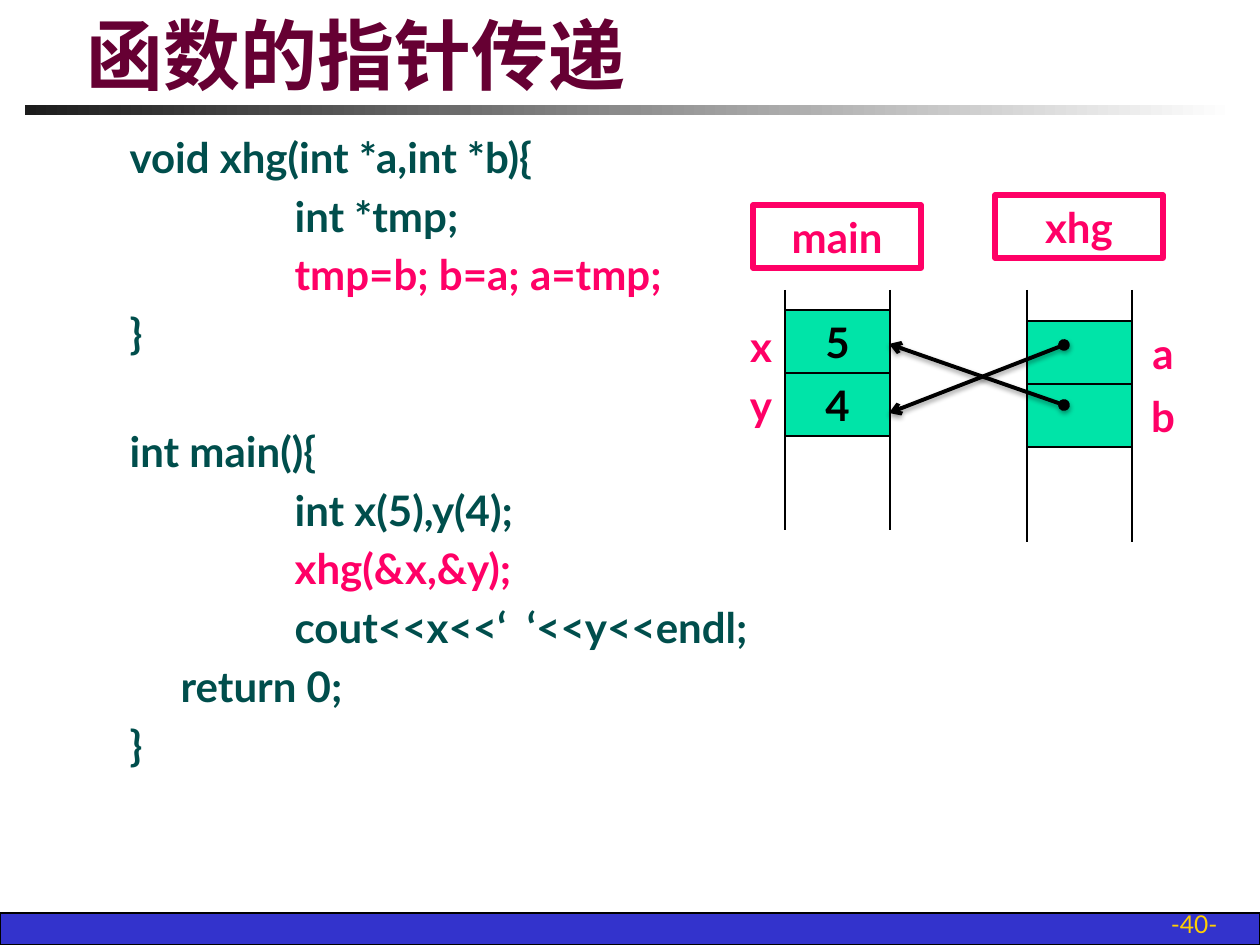
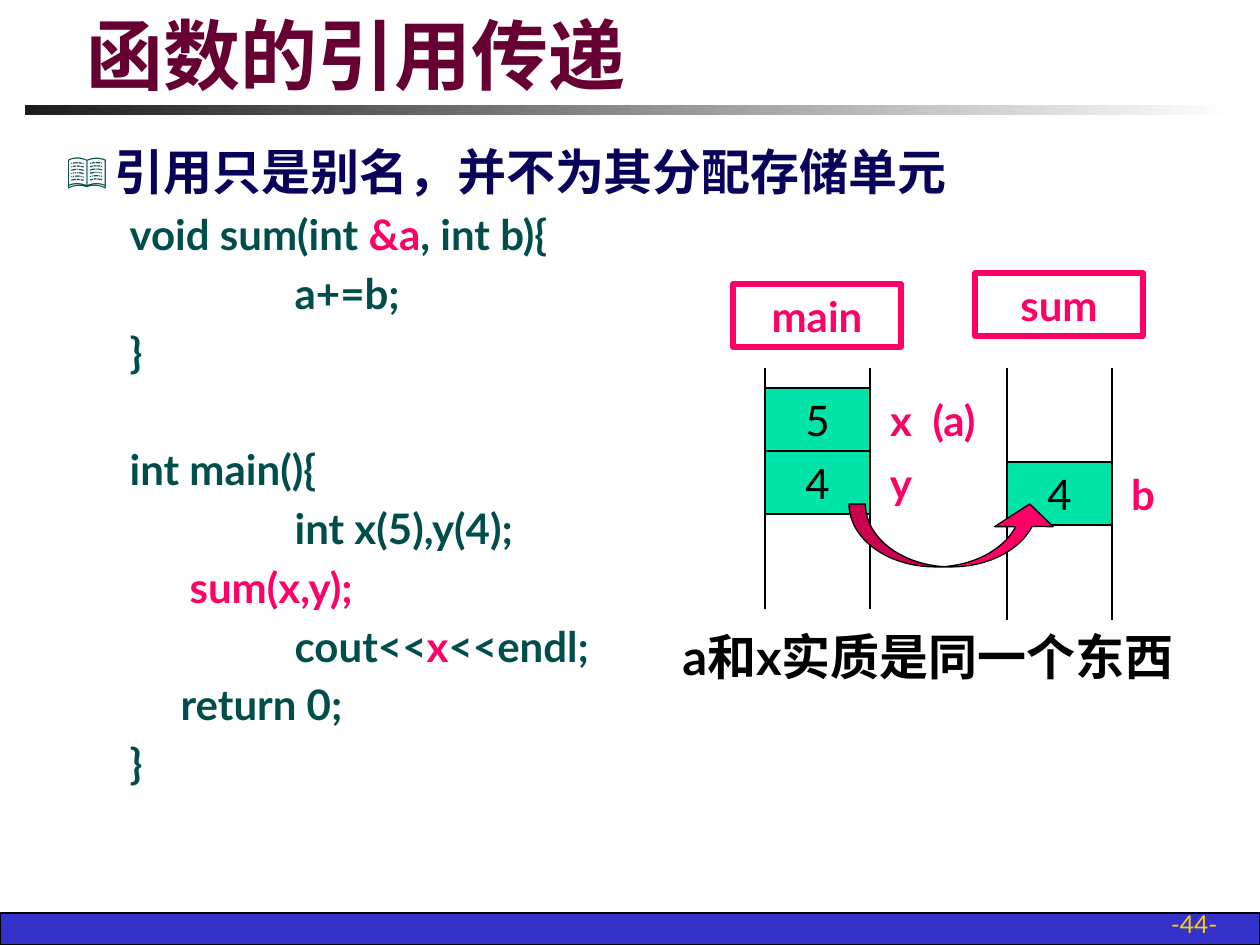
from dataclasses import dataclass

from lxml.etree import SubElement
from pptx import Presentation
from pptx.dml.color import RGBColor
from pptx.enum.shapes import MSO_CONNECTOR, MSO_SHAPE
from pptx.enum.text import MSO_ANCHOR, MSO_AUTO_SIZE, PP_ALIGN
from pptx.oxml.ns import qn
from pptx.util import Pt

EMU_PER_PX = 914400 / 126
PAGE_WIDTH, PAGE_HEIGHT = 1260, 945

BLACK = RGBColor(0x00, 0x00, 0x00)
WHITE = RGBColor(0xFF, 0xFF, 0xFF)
CHARCOAL = RGBColor(0x1C, 0x1C, 0x1C)
BLUE = RGBColor(0x33, 0x33, 0xCC)
GOLD = RGBColor(0xFF, 0xCF, 0x01)
MAROON = RGBColor(0x66, 0x00, 0x33)
TEAL = RGBColor(0x00, 0x4E, 0x4C)
NAVY = RGBColor(0x08, 0x02, 0x5A)
PINK = RGBColor(0xFF, 0x00, 0x66)
GREEN = RGBColor(0x00, 0xE4, 0xA8)

TITLE_FONT = "Comic Neue"
BODY_FONT = "Lato"
CODE_SIZE = 24
HEADING_SIZE = 28
CODE_LINE_POINTS = 33.6

MARGIN_CODE, MARGIN_RETURN, MARGIN_CALL, MARGIN_DEEP = 63, 114, 123, 228
HEADING_INDENT = 48
CELL_WIDTH, CELL_HEIGHT = 105, 63
NAME_WIDTH, NAME_INSET = 168, 32
TAG_WIDTH = 84


@dataclass(frozen=True)
class Span:
    text: str
    color: RGBColor = TEAL


@dataclass(frozen=True)
class CodeLine:
    spans: tuple[Span, ...]
    margin: int = MARGIN_CODE
    after_gap: bool = False


@dataclass(frozen=True)
class StackFrame:
    name: str
    left: int
    name_top: int
    rail_top: int
    rail_bottom: int
    cells_top: int
    values: tuple[str, ...]
    bold: bool = False


@dataclass(frozen=True)
class Tag:
    text: str
    left: int
    top: int


@dataclass(frozen=True)
class Pointer:
    start: tuple[int, int]
    end: tuple[int, int]


def px(length: int) -> int:
    return round(length * EMU_PER_PX)


def place(shape, left: int, top: int, width: int, height: int) -> None:
    shape.left, shape.top = px(left), px(top)
    shape.width, shape.height = px(width), px(height)


def add_span(para, text: str, size: int, color: RGBColor, bold: bool = True, font: str = BODY_FONT) -> None:
    run = para.add_run()
    run.text = text
    run.font.name = font
    run.font.size = Pt(size)
    run.font.bold = bold
    run.font.color.rgb = color


def add_box(page, kind, left: int, top: int, width: int, height: int,
            fill: RGBColor | None, line: RGBColor | None = BLACK, weight: float = 0.75):
    box = page.shapes.add_shape(kind, px(left), px(top), px(width), px(height))
    box.shadow.inherit = False
    if fill is None:
        box.fill.background()
    else:
        box.fill.solid()
        box.fill.fore_color.rgb = fill
    if line is None:
        box.line.fill.background()
    else:
        box.line.color.rgb = line
        box.line.width = Pt(weight)
    return box


def write_centered(box, text: str, color: RGBColor, bold: bool = True) -> None:
    frame = box.text_frame
    frame.word_wrap = False
    frame.vertical_anchor = MSO_ANCHOR.MIDDLE
    para = frame.paragraphs[0]
    para.alignment = PP_ALIGN.CENTER
    add_span(para, text, CODE_SIZE, color, bold)


def add_line(page, start: tuple[int, int], end: tuple[int, int], weight: float = 0.75):
    line = page.shapes.add_connector(MSO_CONNECTOR.STRAIGHT, *map(px, start + end))
    line.line.color.rgb = BLACK
    line.line.width = Pt(weight)
    effects = SubElement(line._element.spPr, qn("a:effectLst"))
    return line, effects


def add_pointer(page, pointer: Pointer) -> None:
    line, effects = add_line(page, pointer.start, pointer.end, 2.25)
    outline = line.line._get_or_add_ln()
    SubElement(outline, qn("a:headEnd"), type="oval")
    SubElement(outline, qn("a:tailEnd"), type="arrow")
    shadow = SubElement(effects, qn("a:outerShdw"), blurRad=str(Pt(3.1)), dist=str(Pt(1.6)),
                        dir="5400000", rotWithShape="0")
    color = SubElement(shadow, qn("a:srgbClr"), val=str(BLACK))
    SubElement(color, qn("a:alpha"), val="38000")


def add_stack_frame(page, frame: StackFrame) -> None:
    for x in (frame.left, frame.left + CELL_WIDTH):
        add_line(page, (x, frame.rail_top), (x, frame.rail_bottom))
    name_box = add_box(page, MSO_SHAPE.RECTANGLE, frame.left - NAME_INSET, frame.name_top,
                       NAME_WIDTH, CELL_HEIGHT, None, PINK, 3)
    write_centered(name_box, frame.name, PINK)
    for row, value in enumerate(frame.values):
        cell = add_box(page, MSO_SHAPE.RECTANGLE, frame.left, frame.cells_top + row * CELL_HEIGHT,
                       CELL_WIDTH, CELL_HEIGHT, GREEN)
        if value:
            write_centered(cell, value, BLACK, frame.bold)


def add_tag(page, tag: Tag) -> None:
    box = page.shapes.add_textbox(px(tag.left), px(tag.top), px(TAG_WIDTH), px(CELL_HEIGHT))
    write_centered(box, tag.text, PINK)


def add_copy_arrow(page) -> None:
    arrow = add_box(page, MSO_SHAPE.CURVED_DOWN_ARROW, 849, 504, 210, 63, PINK)
    for index, value in enumerate((0.26, 0.93, 0.36)):
        arrow.adjustments[index] = value
    arrow._element.spPr.find(qn("a:xfrm")).set("flipV", "1")


def add_caption(page, text: str) -> None:
    box = page.shapes.add_textbox(px(670), px(620), px(527), px(72))
    box.text_frame.word_wrap = True
    add_span(box.text_frame.paragraphs[0], text, HEADING_SIZE, BLACK)


def add_page(deck, title: str, number: int):
    page = deck.slides.add_slide(deck.slide_layouts[1])
    add_box(page, MSO_SHAPE.RECTANGLE, 0, 913, PAGE_WIDTH, 32, BLUE)
    rule = add_box(page, MSO_SHAPE.RECTANGLE, 25, 105, 1211, 10, WHITE, None)
    rule.fill.gradient()
    rule.fill.gradient_angle = 0
    for stop, position, color in zip(rule.fill.gradient_stops, (0, 1), (CHARCOAL, WHITE)):
        stop.position = position
        stop.color.rgb = color

    number_box = page.shapes.add_textbox(px(968), px(903), px(262), px(42))
    number_box.text_frame.word_wrap = True
    number_box.text_frame.vertical_anchor = MSO_ANCHOR.BOTTOM
    para = number_box.text_frame.paragraphs[0]
    para.alignment = PP_ALIGN.RIGHT
    add_span(para, f"-{number}-", 14, GOLD, bold=False)

    place(page.shapes.title, 74, 16, 1099, 90)
    frame = page.shapes.title.text_frame
    frame.auto_size = MSO_AUTO_SIZE.NONE
    frame.vertical_anchor = MSO_ANCHOR.BOTTOM
    frame.paragraphs[0].alignment = PP_ALIGN.LEFT
    add_span(frame.paragraphs[0], title, 44, MAROON, font=TITLE_FONT)
    return page


def indent_para(para, margin: int, indent: int = 0):
    properties = para._p.get_or_add_pPr()
    properties.set("marL", str(px(margin)))
    properties.set("indent", str(px(indent)))
    return properties


def fill_body(page, top: int, lines: tuple[CodeLine, ...], heading: str = "") -> None:
    body = page.placeholders[1]
    place(body, 54, top, 1152, 714)
    frame = body.text_frame
    frame.auto_size = MSO_AUTO_SIZE.NONE
    para = frame.paragraphs[0]
    if heading:
        properties = indent_para(para, HEADING_INDENT, -HEADING_INDENT)
        bullet_color = SubElement(properties, qn("a:buClr"))
        SubElement(bullet_color, qn("a:srgbClr"), val=str(TEAL))
        SubElement(properties, qn("a:buSzPct"), val="80000")
        SubElement(properties, qn("a:buChar"), char="📖")
        para.space_before = Pt(0)
        add_span(para, heading, HEADING_SIZE, NAVY)
    for index, line in enumerate(lines):
        first = index == 0 and not heading
        if not first:
            para = frame.add_paragraph()
        para.level = 1
        SubElement(indent_para(para, line.margin), qn("a:buNone"))
        gap = CODE_LINE_POINTS if line.after_gap else 0
        para.space_before = Pt(0 if first else 0.2 * CODE_SIZE + gap)
        for span in line.spans:
            add_span(para, span.text, CODE_SIZE, span.color)


def code(text: str, margin: int = MARGIN_CODE, color: RGBColor = TEAL, after_gap: bool = False) -> CodeLine:
    return CodeLine((Span(text, color),), margin, after_gap)


MAIN_START = (code("int main(){", after_gap=True), code("int x(5),y(4);", MARGIN_DEEP))
MAIN_END = (code("return 0;", MARGIN_RETURN), code("}"))

POINTER_CODE = (
    code("void xhg(int *a,int *b){"),
    code("int *tmp;", MARGIN_DEEP),
    code("tmp=b; b=a; a=tmp;", MARGIN_DEEP, PINK),
    code("}"),
    *MAIN_START,
    code("xhg(&x,&y);", MARGIN_DEEP, PINK),
    code("cout<<x<<‘  ‘<<y<<endl;", MARGIN_DEEP),
    *MAIN_END,
)
REFERENCE_CODE = (
    CodeLine((Span("void sum(int "), Span("&a", PINK), Span(", int b){"))),
    code("a+=b;", MARGIN_DEEP),
    code("}"),
    *MAIN_START,
    code("sum(x,y);", MARGIN_CALL, PINK),
    CodeLine((Span("cout<<"), Span("x", PINK), Span("<<endl;")), MARGIN_DEEP),
    *MAIN_END,
)

POINTER_FRAMES = (
    StackFrame("main", 785, 205, 290, 530, 310, ("5", "4"), bold=True),
    StackFrame("xhg", 1027, 195, 290, 542, 321, ("", "")),
)
REFERENCE_FRAMES = (
    StackFrame("main", 765, 284, 368, 609, 388, ("5", "4")),
    StackFrame("sum", 1007, 273, 368, 620, 462, ("4",)),
)
POINTER_TAGS = (Tag("x", 719, 314), Tag("y", 719, 373), Tag("a", 1121, 321), Tag("b", 1121, 384))
REFERENCE_TAGS = (Tag("x", 859, 388), Tag("y", 859, 451), Tag("(a)", 912, 388), Tag("b", 1101, 462))
POINTERS = (Pointer((1064, 345), (889, 413)), Pointer((1064, 405), (889, 344)))


def add_diagram(page, frames: tuple[StackFrame, ...], tags: tuple[Tag, ...]) -> None:
    for frame in frames:
        add_stack_frame(page, frame)
    for tag in tags:
        add_tag(page, tag)


def main() -> None:
    deck = Presentation()
    deck.slide_width, deck.slide_height = px(PAGE_WIDTH), px(PAGE_HEIGHT)

    page = add_page(deck, "函数的指针传递", 40)
    fill_body(page, 125, POINTER_CODE)
    add_diagram(page, POINTER_FRAMES, POINTER_TAGS)
    for pointer in POINTERS:
        add_pointer(page, pointer)

    page = add_page(deck, "函数的引用传递", 44)
    fill_body(page, 135, REFERENCE_CODE, "引用只是别名，并不为其分配存储单元")
    add_diagram(page, REFERENCE_FRAMES, REFERENCE_TAGS)
    add_copy_arrow(page)
    add_caption(page, "a和x实质是同一个东西")

    deck.save("out.pptx")


if __name__ == "__main__":
    main()
